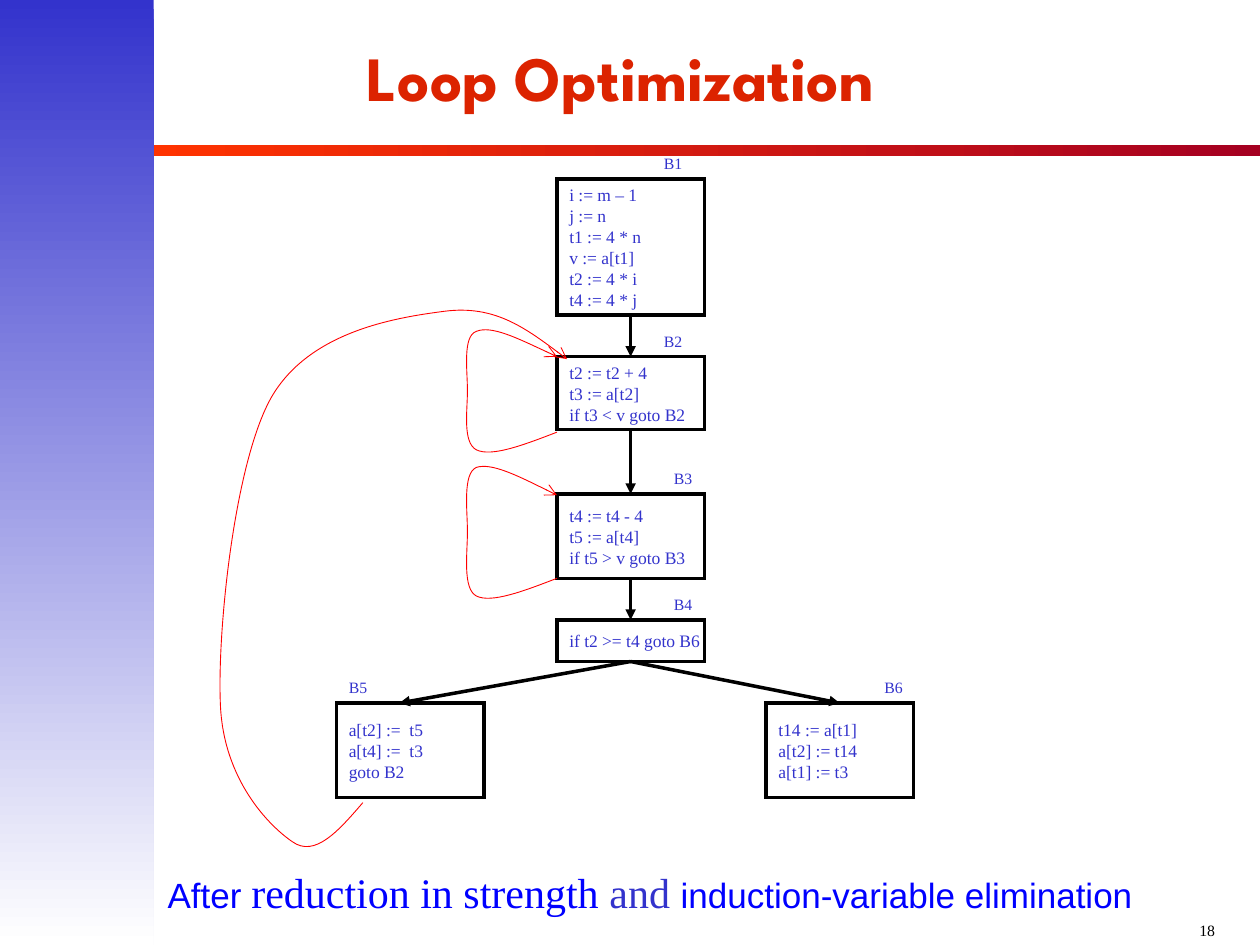
from dataclasses import dataclass

from lxml import etree
from pptx import Presentation
from pptx.dml.color import RGBColor
from pptx.enum.shapes import MSO_CONNECTOR as CONN, MSO_SHAPE as SHAPE
from pptx.enum.text import MSO_ANCHOR as ANCHOR, MSO_AUTO_SIZE as FIT, PP_ALIGN as ALIGN
from pptx.oxml.ns import qn
from pptx.util import Inches, Pt


@dataclass(frozen=True)
class Theme:
    ink: str = "000000"
    loop: str = "FF0000"
    bar: tuple = ("FF3300", "A50021")
    band: tuple = ("3333CC", "FFFFFF")
    title: tuple = ("League Spartan", 36, "DC2300", True)
    code: tuple = ("Times New Roman", 10, "3333CC", False)
    label: tuple = ("Times New Roman", 9, "3333CC", False)
    number: tuple = ("Times New Roman", 9, "000000", False)
    plain: tuple = ("Arial", 20, "0000FF", False)
    strong: tuple = ("Times New Roman", 24, "0000FF", False)
    joiner: tuple = ("Times New Roman", 24, "3333CC", False)
    box_line: float = 2
    loop_line: float = 0.5


T = Theme()
BOX_W = 1.17
LABEL_W, LABEL_H = 0.42, 0.25

BLOCKS = {
    "B1": (4.42, 1.42, 1.08, 5.17,
           ["i := m – 1", "j := n", "t1 := 4 * n", "v := a[t1]", "t2 := 4 * i", "t4 := 4 * j"]),
    "B2": (4.42, 2.83, 0.58, 5.17, ["t2 := t2 + 4", "t3 := a[t2]", "if t3 < v goto B2"]),
    "B3": (4.42, 3.92, 0.67, 5.25, ["t4 := t4 - 4", "t5 := a[t4]", "if t5 > v goto B3"]),
    "B4": (4.42, 4.92, 0.33, 5.25, ["if t2 >= t4 goto B6"]),
    "B5": (2.67, 5.58, 0.75, 2.67, ["a[t2] :=  t5", "a[t4] :=  t3", "goto B2"]),
    "B6": (6.08, 5.58, 0.75, 6.92, ["t14 := a[t1]", "a[t2] := t14", "a[t1] := t3"]),
}
FLOWS = [("B1", "B2"), ("B2", "B3"), ("B3", "B4"), ("B4", "B6")]
B5_ENTRY = (3.17, 5.58)

LOOPS = [
    [(2.88, 6.37), (2.69, 6.59), (2.5, 6.81), (2.32, 6.68), (2.13, 6.55), (1.78, 6.19),
     (1.75, 5.61), (1.72, 5.02), (1.86, 3.68), (2.15, 3.16), (2.45, 2.63), (3.14, 2.52),
     (3.53, 2.47), (3.92, 2.42), (4.21, 2.63), (4.5, 2.85)],
    [(4.42, 4.59), (4.16, 4.69), (3.9, 4.79), (3.78, 4.73), (3.67, 4.67), (3.71, 4.39),
     (3.71, 4.22), (3.71, 4.05), (3.67, 3.76), (3.78, 3.71), (3.9, 3.67), (4.16, 3.8),
     (4.42, 3.93)],
    [(4.42, 3.43), (4.16, 3.53), (3.9, 3.63), (3.78, 3.57), (3.67, 3.51), (3.71, 3.26),
     (3.71, 3.1), (3.71, 2.94), (3.67, 2.67), (3.78, 2.63), (3.9, 2.58), (4.16, 2.71),
     (4.42, 2.83)],
]


def set_all(obj, values):
    for name, value in values.items():
        setattr(obj, name, value)


def write(tf, lines, margins=(0.1, 0.05, 0.1, 0.05), frame=None, para=None):
    sides = ("margin_left", "margin_top", "margin_right", "margin_bottom")
    set_all(tf, dict(zip(sides, map(Inches, margins))))
    set_all(tf, {"word_wrap": True, "auto_size": FIT.NONE, **(frame or {})})
    for i, runs in enumerate(lines):
        p = tf.add_paragraph() if i else tf.paragraphs[0]
        set_all(p, {"alignment": ALIGN.LEFT, **(para or {})})
        for text, (name, size, color, bold) in runs:
            r = p.add_run()
            r.text = text
            set_all(r.font, {"name": name, "size": Pt(size), "bold": bold})
            r.font.color.rgb = RGBColor.from_string(color)


def set_line(line, color, width, head=None):
    line.color.rgb = RGBColor.from_string(color)
    line.width = Pt(width)
    ln = line._get_or_add_ln()
    etree.SubElement(ln, qn("a:miter"), lim="800000")
    if head:
        etree.SubElement(ln, qn("a:tailEnd"), type=head)


def add_text(s, at, lines, **formats):
    sp = s.shapes.add_textbox(*map(Inches, at))
    write(sp.text_frame, lines, **formats)


def add_gradient(s, at, colors, angle):
    sp = s.shapes.add_shape(SHAPE.RECTANGLE, *map(Inches, at))
    sp.shadow.inherit = False
    sp.line.fill.background()
    sp.fill.gradient()
    sp.fill.gradient_angle = angle
    for stop, color in zip(sp.fill.gradient_stops, colors):
        stop.color.rgb = RGBColor.from_string(color)


def add_block(s, name, x, y, h, label_x, code):
    sp = s.shapes.add_shape(SHAPE.RECTANGLE, *map(Inches, (x, y, BOX_W, h)))
    sp.shadow.inherit = False
    sp.fill.background()
    set_line(sp.line, T.ink, T.box_line)
    write(sp.text_frame, [[(line, T.code)] for line in code],
          frame={"vertical_anchor": ANCHOR.MIDDLE, "word_wrap": False})
    add_text(s, (label_x, y - LABEL_H, LABEL_W, LABEL_H), [[(name, T.label)]],
             para={"space_before": Pt(5.6)})
    return sp


def add_flow(s, start, end=None, point=(0, 0)):
    cx = s.shapes.add_connector(CONN.STRAIGHT, 0, 0, *map(Inches, point))
    cx.begin_connect(start, 2)
    if end:
        cx.end_connect(end, 0)
    set_line(cx.line, T.ink, T.box_line, "triangle")
    etree.SubElement(cx._element.spPr, qn("a:effectLst"))


def add_loop(s, knots):
    start, *rest = [tuple(map(Inches, knot)) for knot in knots]
    builder = s.shapes.build_freeform(*start)
    builder.add_line_segments(rest, close=False)
    sp = builder.convert_to_shape()
    segments = list(sp._element.iter(qn("a:lnTo")))
    for i in range(0, len(segments), 3):
        curve = etree.SubElement(segments[i].getparent(), qn("a:cubicBezTo"))
        for segment in segments[i:i + 3]:
            curve.append(segment[0])
            segment.getparent().remove(segment)
    sp.shadow.inherit = False
    sp.fill.background()
    set_line(sp.line, T.loop, T.loop_line, "arrow")


def add_title(s, text):
    sp = s.shapes.title
    set_all(sp, dict(zip(("left", "top", "width", "height"),
                         map(Inches, (0.72, 0.26, 8.54, 0.81)))))
    write(sp.text_frame, [[(text, T.title)]], margins=(0, 0, 0, 0),
          frame={"vertical_anchor": ANCHOR.MIDDLE},
          para={"alignment": ALIGN.CENTER, "line_spacing": 0.8})


def main():
    prs = Presentation()
    set_all(prs, {"slide_width": Inches(10), "slide_height": Inches(7.5)})
    s = prs.slides.add_slide(prs.slide_layouts[5])

    add_gradient(s, (1.2, 1.15, 8.8, 0.09), T.bar, 0)
    add_gradient(s, (0, 0, 1.22, 7.5), T.band, 270)
    add_title(s, "Loop Optimization ")
    add_text(s, (9.42, 7.26, 0.42, 0.24), [[("18", T.number)]])
    add_text(s, (1.33, 6.88, 8.45, 0.4),
             [[("After ", T.plain), ("reduction in strength", T.strong),
               (" and ", T.joiner), ("induction-variable elimination", T.plain)]],
             margins=(0, 0, 0, 0), frame={"vertical_anchor": ANCHOR.MIDDLE})

    boxes = {name: add_block(s, name, *block) for name, block in BLOCKS.items()}
    for start, end in FLOWS:
        add_flow(s, boxes[start], boxes[end])
    add_flow(s, boxes["B4"], point=B5_ENTRY)
    for knots in LOOPS:
        add_loop(s, knots)

    prs.save("out.pptx")


if __name__ == "__main__":
    main()
